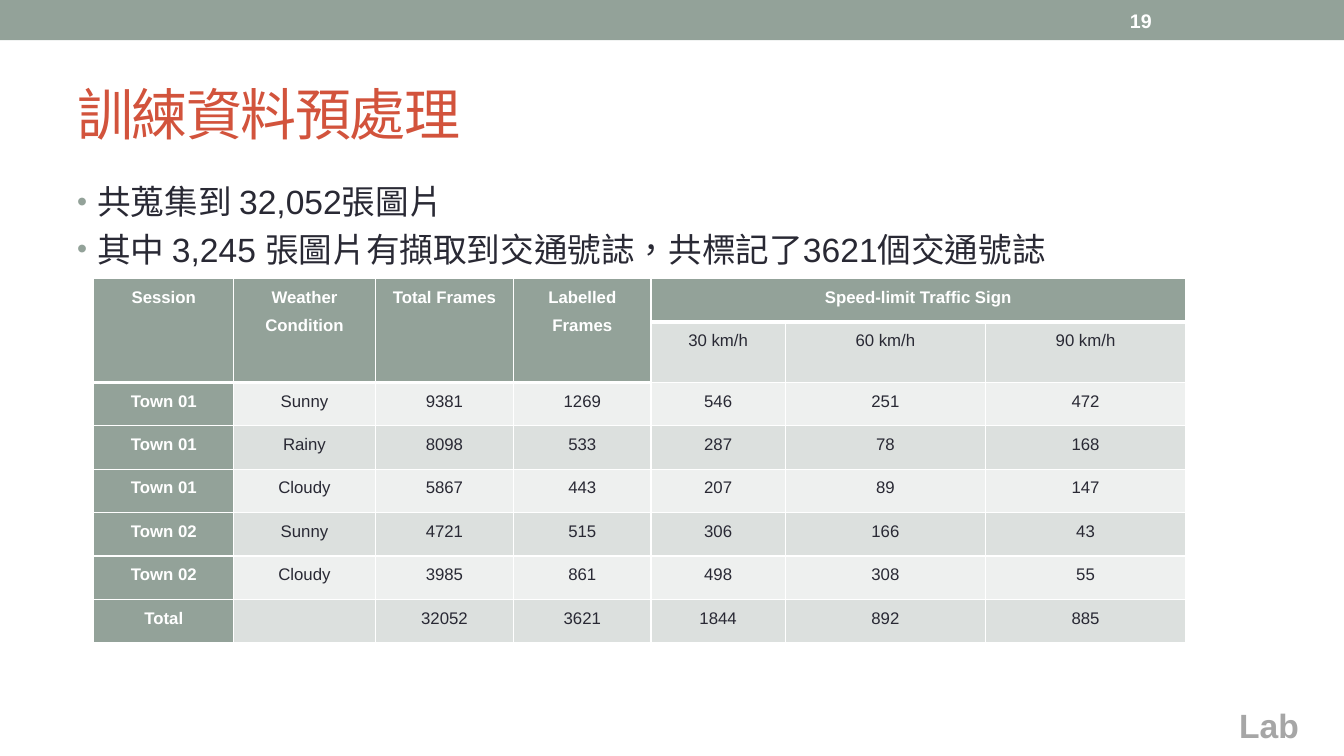
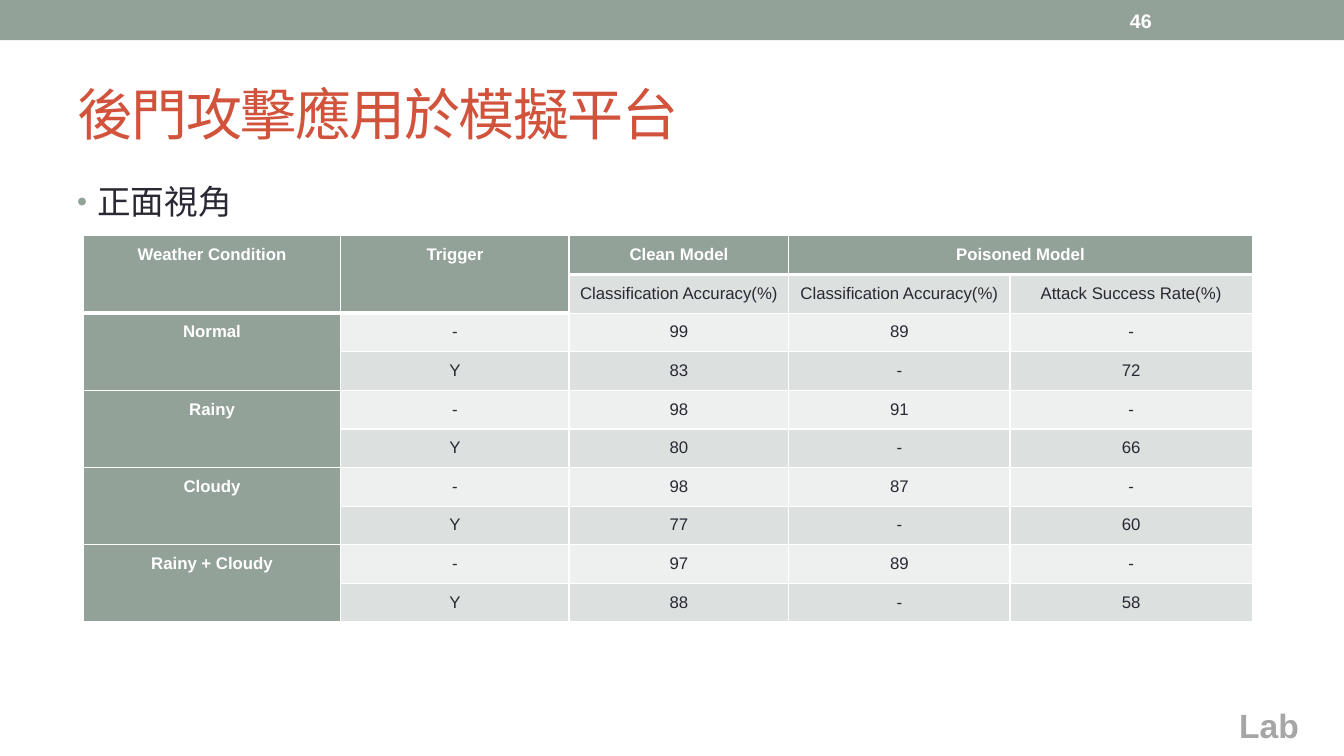
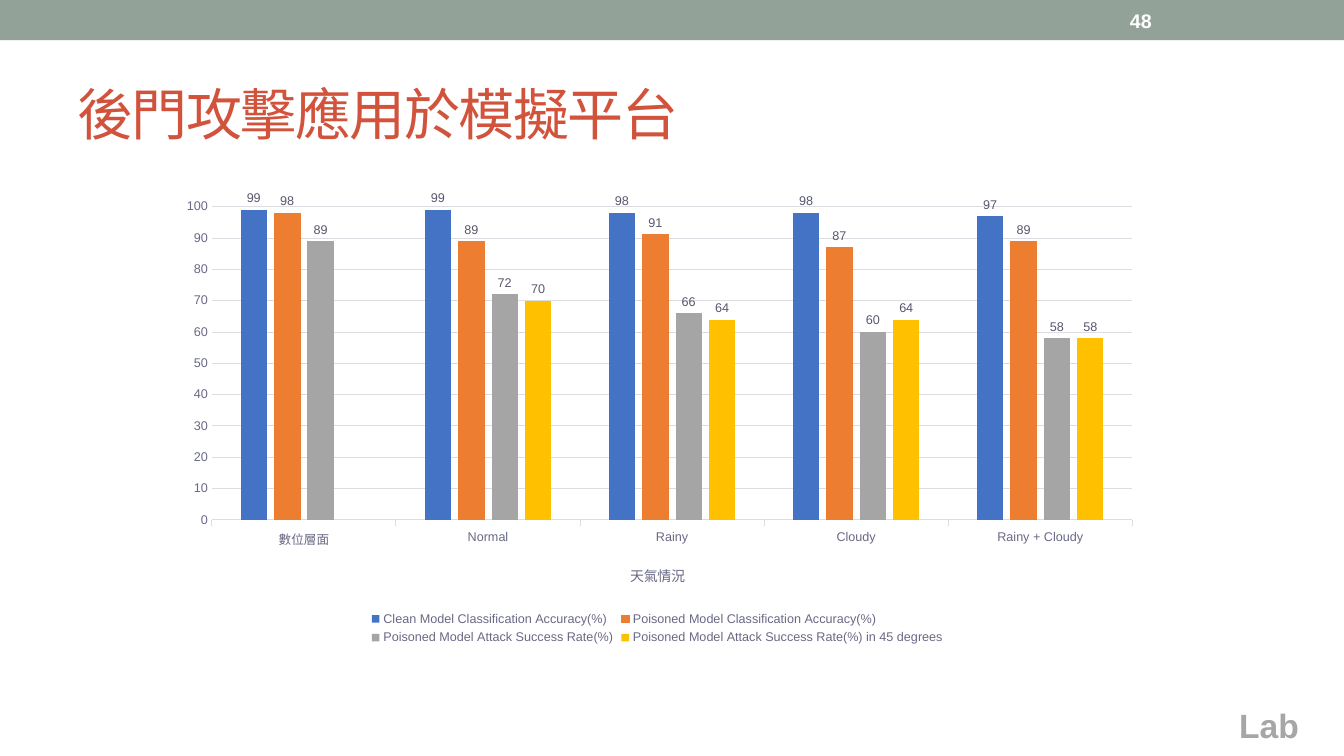
from dataclasses import dataclass

from lxml import etree
from pptx import Presentation
from pptx.chart.data import CategoryChartData
from pptx.dml.color import RGBColor
from pptx.enum.chart import XL_CHART_TYPE, XL_LABEL_POSITION, XL_LEGEND_POSITION, XL_TICK_MARK
from pptx.enum.shapes import MSO_SHAPE
from pptx.enum.text import MSO_ANCHOR, PP_ALIGN
from pptx.oxml.ns import qn
from pptx.util import Pt

TOP, MIDDLE = MSO_ANCHOR.TOP, MSO_ANCHOR.MIDDLE
CENTER = PP_ALIGN.CENTER
COLUMNS = XL_CHART_TYPE.COLUMN_CLUSTERED
OUTER = XL_LABEL_POSITION.OUTSIDE_END
BOTTOM = XL_LEGEND_POSITION.BOTTOM
TICK, NO_TICK = XL_TICK_MARK.OUTSIDE, XL_TICK_MARK.NONE


@dataclass(frozen=True)
class Theme:
    face: str = "Arial"
    sage: str = "93A299"
    red: str = "D2533C"
    ink: str = "292934"
    white: str = "FFFFFF"
    gray: str = "A6A6A6"
    dark: str = "DCE0DE"
    light: str = "EEF0EF"
    axis: str = "696986"
    label: str = "57576E"
    grid: str = "DCDCE3"
    bars: tuple = ("4472C4", "ED7D31", "A5A5A5", "FFC000")
    title: int = 40
    body: int = 24
    page: int = 14
    cell: int = 12
    name: int = 10
    note: int = 9


LOOK = Theme()
WIDTH, HEIGHT = 960, 540


def rgb(code):
    return RGBColor.from_string(code)


def style(font, size, color, bold=False):
    font.name = LOOK.face
    font.size = Pt(size)
    font.bold = bold
    font.color.rgb = rgb(color)


def add_node(parent, tag, **attrs):
    return etree.SubElement(parent, qn(tag), {k: str(v) for k, v in attrs.items()})


def add_run(para, text, **attrs):
    run = para.add_run()
    run.text = text
    props = run._r.get_or_add_rPr()
    for key, value in attrs.items():
        props.set(key, value)


def add_box(slide, place, anchor=TOP):
    frame = slide.shapes.add_textbox(*map(Pt, place)).text_frame
    frame.word_wrap = True
    frame.vertical_anchor = anchor
    return frame


def add_label(slide, place, text, size, color, bold=False, anchor=TOP, **attrs):
    para = add_box(slide, place, anchor).paragraphs[0]
    add_run(para, text, **attrs)
    style(para.font, size, color, bold)


def add_page(deck, title, number):
    """Add a slide with the band, page number, title and footer."""
    slide = deck.slides.add_slide(deck.slide_layouts[6])
    band = slide.shapes.add_shape(MSO_SHAPE.RECTANGLE, 0, 0, Pt(WIDTH), Pt(28.8))
    band.shadow.inherit = False
    band.fill.solid()
    band.fill.fore_color.rgb = rgb(LOOK.sage)
    band.line.fill.background()
    add_label(slide, (878, 500, 80, 36), "Lab", LOOK.body, LOOK.gray, True)
    add_label(slide, (48, 42, 864, 78), title, LOOK.title, LOOK.red,
              anchor=MIDDLE, spc="-100", lang="zh-TW")
    add_label(slide, (800, 1.5, 112, 26), number, LOOK.page, LOOK.white, True, MIDDLE)
    return slide


def add_list(slide, lines):
    frame = add_box(slide, (48, 126, 864, 384))
    for i, line in enumerate(lines):
        para = frame.add_paragraph() if i else frame.paragraphs[0]
        add_run(para, line, lang="zh-TW")
        if i:
            para.space_before = Pt(4.8)
        props = para._p.get_or_add_pPr()
        props.set("marL", str(Pt(14.4)))
        props.set("indent", str(-Pt(14.4)))
        add_node(add_node(props, "a:buClr"), "a:srgbClr", val=LOOK.sage)
        add_node(props, "a:buSzPct", val=85000)
        add_node(props, "a:buFont", typeface=LOOK.face)
        add_node(props, "a:buChar", char="•")
        style(para.font, LOOK.body, LOOK.ink)


def set_edges(cell, base):
    """Draw white cell borders, the lower one base points wide."""
    props = cell._tc.get_or_add_tcPr()
    for side, width in (("L", 1), ("R", 1), ("T", 1), ("B", base)):
        line = add_node(props, f"a:ln{side}", w=Pt(width))
        add_node(add_node(line, "a:solidFill"), "a:srgbClr", val=LOOK.white)


def fill_cell(cell, text, back, color, bold, base):
    cell.margin_left = cell.margin_right = Pt(5)
    cell.margin_top = cell.margin_bottom = 0
    set_edges(cell, base)
    cell.fill.solid()
    cell.fill.fore_color.rgb = rgb(back)
    if text:
        para = cell.text_frame.paragraphs[0]
        para.text = text
        para.alignment = CENTER
        para.line_spacing = 1.5
        style(para.font, LOOK.cell, color, bold)


def add_grid(slide, left, top, widths, heights, rows, spans):
    """Add a table; spans lists (row, column, last row, last column)."""
    shape = slide.shapes.add_table(len(rows), len(widths), Pt(left), Pt(top),
                                   Pt(sum(widths)), Pt(sum(heights)))
    table = shape.table
    for column, width in zip(table.columns, widths):
        column.width = Pt(width)
    for row, height in zip(table.rows, heights):
        row.height = Pt(height)
    heads = {(0, c) for c in range(len(widths))}
    for r, c, last, end in spans:
        table.cell(r, c).merge(table.cell(last, end))
        if r == 0:
            heads |= {(last, k) for k in range(c, end + 1)}
    for r, row in enumerate(rows):
        for c, text in enumerate(row):
            head = (r, c) in heads
            bold = head or c == 0
            back = LOOK.sage if bold else LOOK.dark if r % 2 else LOOK.light
            color = LOOK.white if bold else LOOK.ink
            fill_cell(table.cell(r, c), text, back, color, bold, 3 if head else 1)


def set_layout(node, index, inner=False, **spots):
    """Fix the place of a chart part, in fractions of the chart."""
    layout = node.find(qn("c:layout"))
    if layout is None:
        layout = etree.Element(qn("c:layout"))
        node.insert(index, layout)
    manual = add_node(layout, "c:manualLayout")
    if inner:
        add_node(manual, "c:layoutTarget", val="inner")
    for key in "xy":
        add_node(manual, f"c:{key}Mode", val="edge")
    for key, value in spots.items():
        add_node(manual, f"c:{key}", val=value)


def set_line(line, color):
    line.color.rgb = rgb(color)
    line.width = Pt(0.75)


def style_axes(chart):
    cat, val = chart.category_axis, chart.value_axis
    for axis in (cat, val):
        style(axis.tick_labels.font, LOOK.note, LOOK.axis)
    cat.major_tick_mark = TICK
    set_line(cat.format.line, LOOK.grid)
    para = cat.axis_title.text_frame.paragraphs[0]
    add_run(para, "天氣情況", lang="zh-TW")
    style(para.font, LOOK.name, LOOK.axis)
    set_layout(cat._element.find(qn("c:title")), 1, x=0.47, y=0.81)
    val.minimum_scale, val.maximum_scale, val.major_unit = 0, 100, 10
    val.major_tick_mark = NO_TICK
    val.format.line.fill.background()
    set_line(val.major_gridlines.format.line, LOOK.grid)


def add_bars(slide, place, names, series):
    data = CategoryChartData()
    data.categories = names
    for name, values in series:
        data.add_series(name, values)
    chart = slide.shapes.add_chart(COLUMNS, *map(Pt, place), data).chart
    style(chart.font, LOOK.name, LOOK.ink)
    chart.has_title = False
    chart.has_legend = True
    chart.legend.position = BOTTOM
    chart.legend.include_in_layout = False
    style(chart.legend.font, LOOK.note, LOOK.axis)
    plot = chart.plots[0]
    plot.gap_width, plot.overlap, plot.vary_by_categories = 219, -27, False
    for i, (bars, color) in enumerate(zip(plot.series, LOOK.bars)):
        bars.format.fill.solid()
        bars.format.fill.fore_color.rgb = rgb(color)
        if i == 1:
            set_line(bars.format.line, color)
        labels = bars.data_labels
        labels.show_value = True
        labels.position = OUTER
        style(labels.font, LOOK.note, LOOK.label)
    style_axes(chart)
    area = chart._chartSpace.find(f".//{qn('c:plotArea')}")
    set_layout(area, 0, True, x=0.05, y=0.04, w=0.93, h=0.68)


def add_data(deck):
    slide = add_page(deck, "訓練資料預處理", "19")
    add_list(slide, ["共蒐集到 32,052張圖片",
                     "其中 3,245 張圖片有擷取到交通號誌，共標記了3621個交通號誌"])
    rows = [
        ["Session", "Weather Condition", "Total Frames", "Labelled Frames",
         "Speed-limit Traffic Sign", "", ""],
        ["", "", "", "", "30 km/h", "60 km/h", "90 km/h"],
        ["Town 01", "Sunny", "9381", "1269", "546", "251", "472"],
        ["Town 01", "Rainy", "8098", "533", "287", "78", "168"],
        ["Town 01", "Cloudy", "5867", "443", "207", "89", "147"],
        ["Town 02", "Sunny", "4721", "515", "306", "166", "43"],
        ["Town 02", "Cloudy", "3985", "861", "498", "308", "55"],
        ["Total", "", "32052", "3621", "1844", "892", "885"],
    ]
    spans = [(0, c, 1, c) for c in range(4)] + [(0, 4, 0, 6)]
    add_grid(slide, 67, 199, [100, 101, 99, 98, 96, 143, 143],
             [31, 40.7] + [31] * 6, rows, spans)


def add_scores(deck, title):
    slide = add_page(deck, title, "46")
    add_list(slide, ["正面視角"])
    rate = "Classification Accuracy(%)"
    rows = [["Weather Condition", "Trigger", "Clean Model", "Poisoned Model", ""],
            ["", "", rate, rate, "Attack Success Rate(%)"]]
    for name, clean, dirty, poison, attack in [
            ("Normal", "99", "83", "89", "72"),
            ("Rainy", "98", "80", "91", "66"),
            ("Cloudy", "98", "77", "87", "60"),
            ("Rainy + Cloudy", "97", "88", "89", "58")]:
        rows += [[name, "-", clean, poison, "-"], ["", "Y", dirty, "-", attack]]
    spans = [(0, 1, 1, 1), (0, 3, 0, 4)]
    spans += [(r, 0, r + 1, 0) for r in range(0, len(rows), 2)]
    add_grid(slide, 59.5, 168.5, [184, 163, 157, 158, 173],
             [27.6] * len(rows), rows, spans)


def add_results(deck, title):
    slide = add_page(deck, title, "48")
    add_bars(slide, (116, 134.6, 707, 329),
             ["數位層面", "Normal", "Rainy", "Cloudy", "Rainy + Cloudy"],
             [("Clean Model Classification Accuracy(%)", (99, 99, 98, 98, 97)),
              ("Poisoned Model Classification Accuracy(%)", (98, 89, 91, 87, 89)),
              ("Poisoned Model Attack Success Rate(%)", (89, 72, 66, 60, 58)),
              ("Poisoned Model Attack Success Rate(%) in 45 degrees",
               (None, 70, 64, 64, 58))])


def main():
    deck = Presentation()
    deck.slide_width, deck.slide_height = Pt(WIDTH), Pt(HEIGHT)
    attack = "後門攻擊應用於模擬平台"
    add_data(deck)
    add_scores(deck, attack)
    add_results(deck, attack)
    deck.save("out.pptx")


if __name__ == "__main__":
    main()
